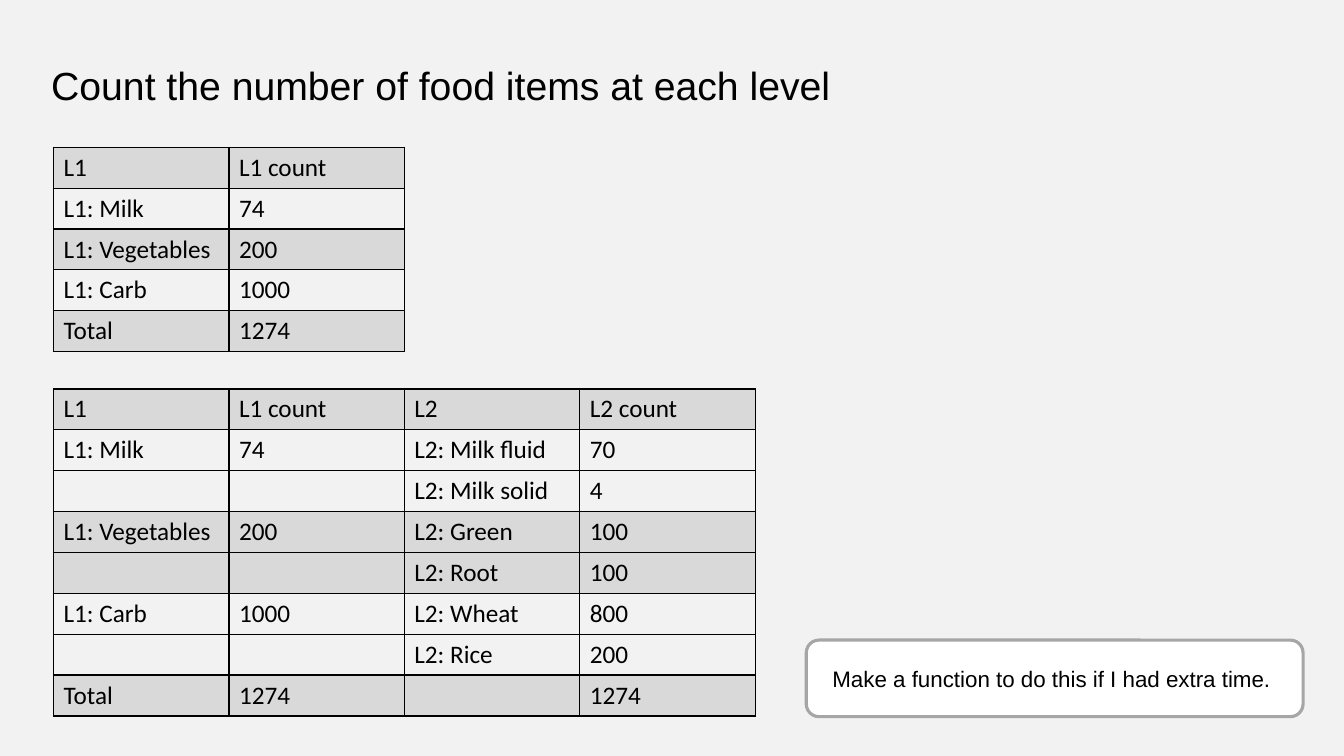
from lxml.etree import SubElement
from pptx import Presentation
from pptx.dml.color import RGBColor
from pptx.enum.shapes import MSO_SHAPE as Shape
from pptx.enum.text import MSO_ANCHOR as Anchor, PP_ALIGN as Align
from pptx.oxml.ns import qn
from pptx.util import Cm, Pt

BLACK = RGBColor(0, 0, 0)
WHITE = RGBColor(255, 255, 255)
PALE = RGBColor(0xF2, 0xF2, 0xF2)
BAND = RGBColor(0xD9, 0xD9, 0xD9)
OUTLINE = RGBColor(0xA6, 0xA6, 0xA6)

ROW_HEIGHT = 1.03
LEVEL_1_ROWS = [
    ("L1", "L1 count"),
    ("L1: Milk", "74"),
    ("L1: Vegetables", "200"),
    ("L1: Carb", "1000"),
    ("Total", "1274"),
]
LEVEL_2_ROWS = [
    ("L1", "L1 count", "L2", "L2 count"),
    ("L1: Milk", "74", "L2: Milk fluid", "70"),
    ("", "", "L2: Milk solid", "4"),
    ("L1: Vegetables", "200", "L2: Green", "100"),
    ("", "", "L2: Root", "100"),
    ("L1: Carb", "1000", "L2: Wheat", "800"),
    ("", "", "L2: Rice", "200"),
    ("Total", "1274", "", "1274"),
]


def write(frame, text, size, font_name):
    paragraph = frame.paragraphs[0]
    paragraph.text = text
    paragraph.font.size = Pt(size)
    paragraph.font.name = font_name
    paragraph.font.color.rgb = BLACK
    return paragraph


def add_borders(cell):
    properties = cell._tc.get_or_add_tcPr()
    for side in ("a:lnL", "a:lnR", "a:lnT", "a:lnB"):
        line = SubElement(properties, qn(side), w=str(Pt(1)))
        fill = SubElement(line, qn("a:solidFill"))
        SubElement(fill, qn("a:srgbClr"), val=str(BLACK))


def add_title(slide, left, top, width, height):
    box = slide.shapes.add_textbox(Cm(left), Cm(top), Cm(width), Cm(height))
    frame = box.text_frame
    frame.word_wrap = True
    frame.vertical_anchor = Anchor.MIDDLE
    paragraph = write(frame, "Count the number of food items at each level", 28, "Arial")
    paragraph.line_spacing = 0.9


def add_count_table(slide, rows, left, top, width):
    column_count = len(rows[0])
    table = slide.shapes.add_table(
        len(rows), column_count, Cm(left), Cm(top), Cm(width), Cm(ROW_HEIGHT * len(rows))
    ).table
    for column in table.columns:
        column.width = Cm(width / column_count)
    banded = False
    for row_index, values in enumerate(rows):
        table.rows[row_index].height = Cm(ROW_HEIGHT)
        if values[0]:
            banded = not banded
        for column_index, value in enumerate(values):
            cell = table.cell(row_index, column_index)
            write(cell.text_frame, value, 18, "Calibri")
            add_borders(cell)
            cell.fill.solid()
            cell.fill.fore_color.rgb = BAND if banded else PALE


def add_note(slide, left, top, width, height):
    note = slide.shapes.add_shape(
        Shape.ROUNDED_RECTANGLE, Cm(left), Cm(top), Cm(width), Cm(height)
    )
    note.shadow.inherit = False
    note.fill.solid()
    note.fill.fore_color.rgb = WHITE
    note.line.color.rgb = OUTLINE
    note.line.width = Pt(2.25)
    frame = note.text_frame
    frame.word_wrap = True
    frame.vertical_anchor = Anchor.MIDDLE
    paragraph = write(frame, "Make a function to do this if I had extra time. ", 16, "Arial")
    paragraph.alignment = Align.CENTER


def main():
    presentation = Presentation()
    presentation.slide_width = Cm(33.87)
    presentation.slide_height = Cm(19.05)
    slide = presentation.slides.add_slide(presentation.slide_layouts[6])
    slide.background.fill.solid()
    slide.background.fill.fore_color.rgb = PALE

    add_title(slide, 1.04, 0.74, 31.5, 2.97)
    add_count_table(slide, LEVEL_1_ROWS, 1.35, 3.71, 8.84)
    add_count_table(slide, LEVEL_2_ROWS, 1.35, 9.8, 17.68)
    add_note(slide, 20.32, 16.13, 12.52, 1.93)
    presentation.save("out.pptx")


if __name__ == "__main__":
    main()
